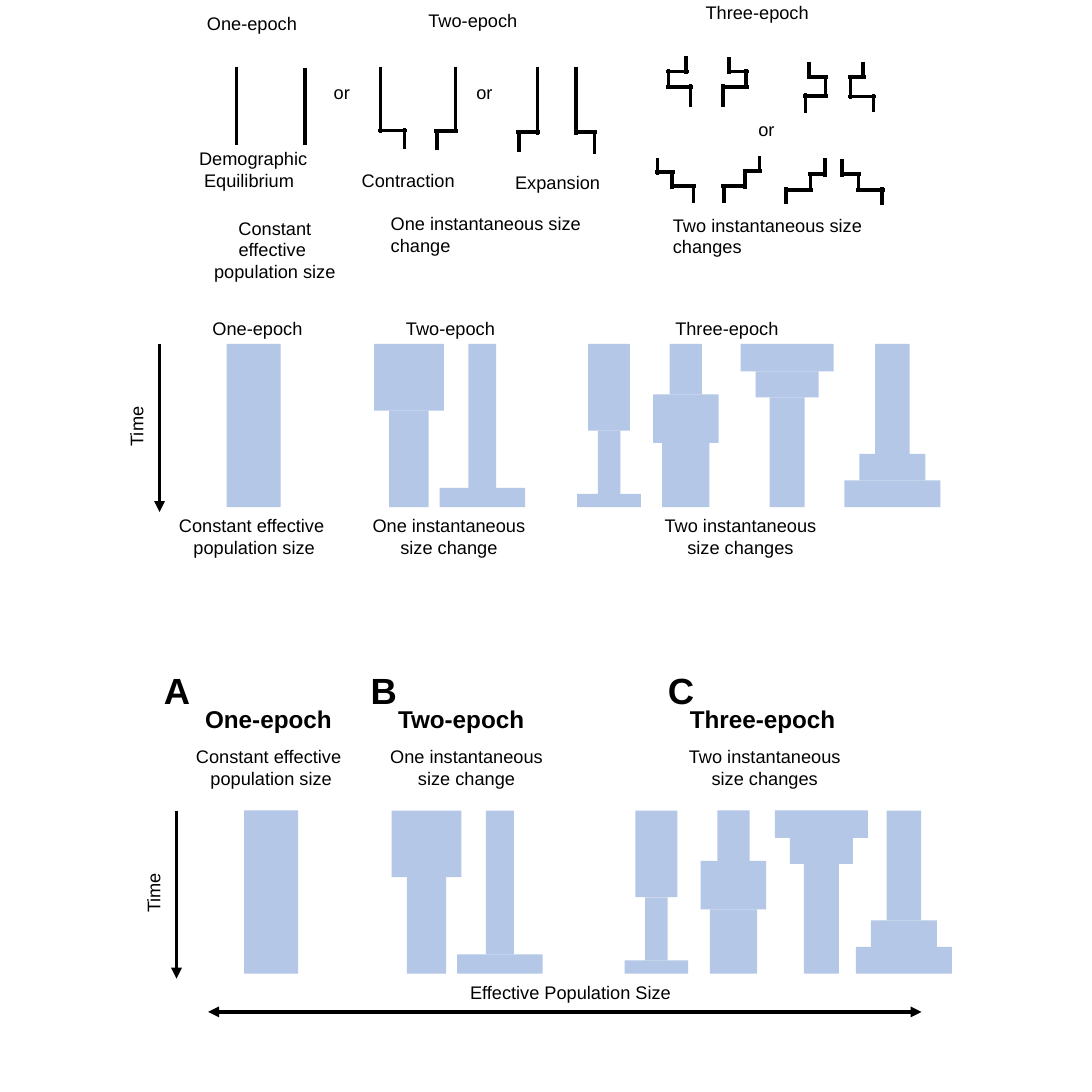
from lxml.etree import SubElement
from pptx import Presentation
from pptx.dml.color import RGBColor as Rgb
from pptx.enum.shapes import MSO_CONNECTOR as Conn, MSO_SHAPE as Geo
from pptx.enum.text import MSO_AUTO_SIZE as Fit, PP_ALIGN as Align
from pptx.oxml.ns import qn
from pptx.util import Pt

INK = {"text": "000000", "line": "000000", "bar": "B4C7E7"}
SIDE = 1800
BLANK = 6

# Both sides of each outline: x of every upright, then y of every level.
OUTLINES = [
    ([390], [110, 239]), ([503], [112, 239]),
    ([627, 667], [110, 215, 245]), ([751, 720], [110, 216, 247]),
    ([886, 855], [110, 218, 251]), ([950, 980], [110, 218, 254]),
    ([1131, 1102, 1138], [93, 118, 143, 176]),
    ([1202, 1230, 1192], [94, 118, 143, 176]),
    ([1334, 1361, 1328], [102, 127, 158, 186]),
    ([1423, 1402, 1440], [102, 127, 159, 184]),
    ([1084, 1108, 1143], [261, 284, 307, 335]),
    ([1252, 1228, 1193], [257, 282, 307, 334]),
    ([1360, 1336, 1296], [261, 287, 313, 337]),
    ([1388, 1415, 1454], [262, 287, 313, 338]),
]

# Width and height of the blocks in each stack, from the top down.
STACKS = [
    [(89, 269)],
    [(115, 110), (65, 159)],
    [(46, 237), (141, 32)],
    [(69, 143), (37, 104), (105, 22)],
    [(53, 83), (108, 80), (78, 106)],
    [(153, 45), (104, 43), (58, 181)],
    [(57, 181), (109, 44), (158, 44)],
]

EPOCHS = ["One-epoch", "Two-epoch", "Three-epoch"]
CHANGES = [
    ("Constant effective \npopulation size", 280),
    ("One instantaneous size change", 316),
    ("Two instantaneous size changes", 325),
]
SKETCH = [
    ("One-epoch", 334, 17, 251, 44), ("Two-epoch", 699, 12, 343, 44),
    ("Three-epoch", 1156, -1, 343, 44),
    ("or", 543, 130, 93, 44), ("or", 778, 130, 93, 44),
    ("or", 1243, 192, 93, 44),
    ("Demographic\n Equilibrium", 321, 239, 280, 80),
    ("Contraction", 589, 276, 251, 44), ("Expansion", 842, 279, 251, 44),
    ("One instantaneous size change", 637, 347, 402, 80),
    ("Two instantaneous size changes", 1102, 349, 402, 80),
]


class Board:
    def __init__(self, slide, font="Arial", size=30, weight=6, lap=4):
        self.shapes = slide.shapes
        self.font, self.size = font, size
        self.weight, self.lap = weight, lap

    def text(self, words, x, y, w, h, size=None, bold=False,
             align=Align.LEFT, turn=0):
        box = self.shapes.add_textbox(Pt(x), Pt(y), Pt(w), Pt(h))
        box.rotation = turn
        frame = box.text_frame
        frame.text = words
        frame.word_wrap = True
        frame.auto_size = Fit.SHAPE_TO_FIT_TEXT
        for para in frame.paragraphs:
            para.alignment = align
            for run in para.runs:
                font = run.font
                font.name, font.size = self.font, Pt(size or self.size)
                font.bold = bold
                font.color.rgb = Rgb.from_string(INK["text"])

    def line(self, x1, y1, x2, y2, ends=()):
        link = self.shapes.add_connector(
            Conn.STRAIGHT, Pt(x1), Pt(y1), Pt(x2), Pt(y2))
        link.line.width = Pt(self.weight)
        link.line.color.rgb = Rgb.from_string(INK["line"])
        props = link._element.spPr
        for end in ends:
            SubElement(props.find(qn("a:ln")), qn(f"a:{end}"), type="triangle")
        SubElement(props, qn("a:effectLst"))

    def steps(self, xs, ys):
        """Draw a stepped outline whose strokes overlap at each corner."""
        last = len(xs) - 1
        for i, x in enumerate(xs):
            top = ys[i] - (self.lap if i else 0)
            foot = ys[i + 1] + (self.lap if i < last else 0)
            self.line(x, top, x, foot)
        for x1, x2, y in zip(xs, xs[1:], ys[1:]):
            self.line(min(x1, x2) - self.lap, y, max(x1, x2) + self.lap, y)

    def block(self, x, y, w, h):
        bar = self.shapes.add_shape(Geo.RECTANGLE, Pt(x), Pt(y), Pt(w), Pt(h))
        bar.shadow.inherit = False
        bar.fill.solid()
        bar.fill.fore_color.rgb = Rgb.from_string(INK["bar"])
        bar.line.fill.background()

    def stacks(self, top, mids, time):
        """Draw all stacks centred on mids, with the time arrow at x = time."""
        for mid, parts in zip(mids, STACKS):
            y = top
            for w, h in parts:
                self.block(mid - w / 2, y, w, h)
                y += h
        self.line(time, top, time, top + 277, ["tailEnd"])
        self.text("Time", time - 80, top + 112, 84, 44, turn=270)

    def heads(self, y, spans, **style):
        for words, (x, w) in zip(EPOCHS, spans):
            self.text(words, x, y, w, 44, **style)

    def notes(self, y, lefts):
        for x, (words, w) in zip(lefts, CHANGES):
            self.text(words, x, y, w, 80, align=Align.CENTER)


def main():
    deck = Presentation()
    deck.slide_width = deck.slide_height = Pt(SIDE)
    board = Board(deck.slides.add_slide(deck.slide_layouts[BLANK]))

    for xs, ys in OUTLINES:
        board.steps(xs, ys)
    for item in SKETCH:
        board.text(*item)
    board.text(CHANGES[0][0], 334, 354, 238, 117, align=Align.CENTER)

    board.heads(519, [(343, 168), (662, 166), (1106, 191)])
    board.stacks(567, [418, 674, 795, 1004, 1130.5, 1297.5, 1471], 263)
    board.notes(844, [279, 582, 1058])

    for mark, x in zip("ABC", [263, 604, 1094]):
        board.text(mark, x, 1097, 56, 80, size=60, bold=True)
    board.heads(1158, [(331, 261), (649, 261), (1130, 280)],
                size=40, bold=True)
    board.notes(1225, [307, 611, 1098])
    board.stacks(1336, [447, 703, 824, 1082, 1209, 1354, 1490], 291)
    board.text("Effective Population Size", 745, 1614, 391, 44,
               align=Align.CENTER)
    board.line(343, 1668, 1519, 1668, ["headEnd", "tailEnd"])

    deck.save("out.pptx")


if __name__ == "__main__":
    main()
